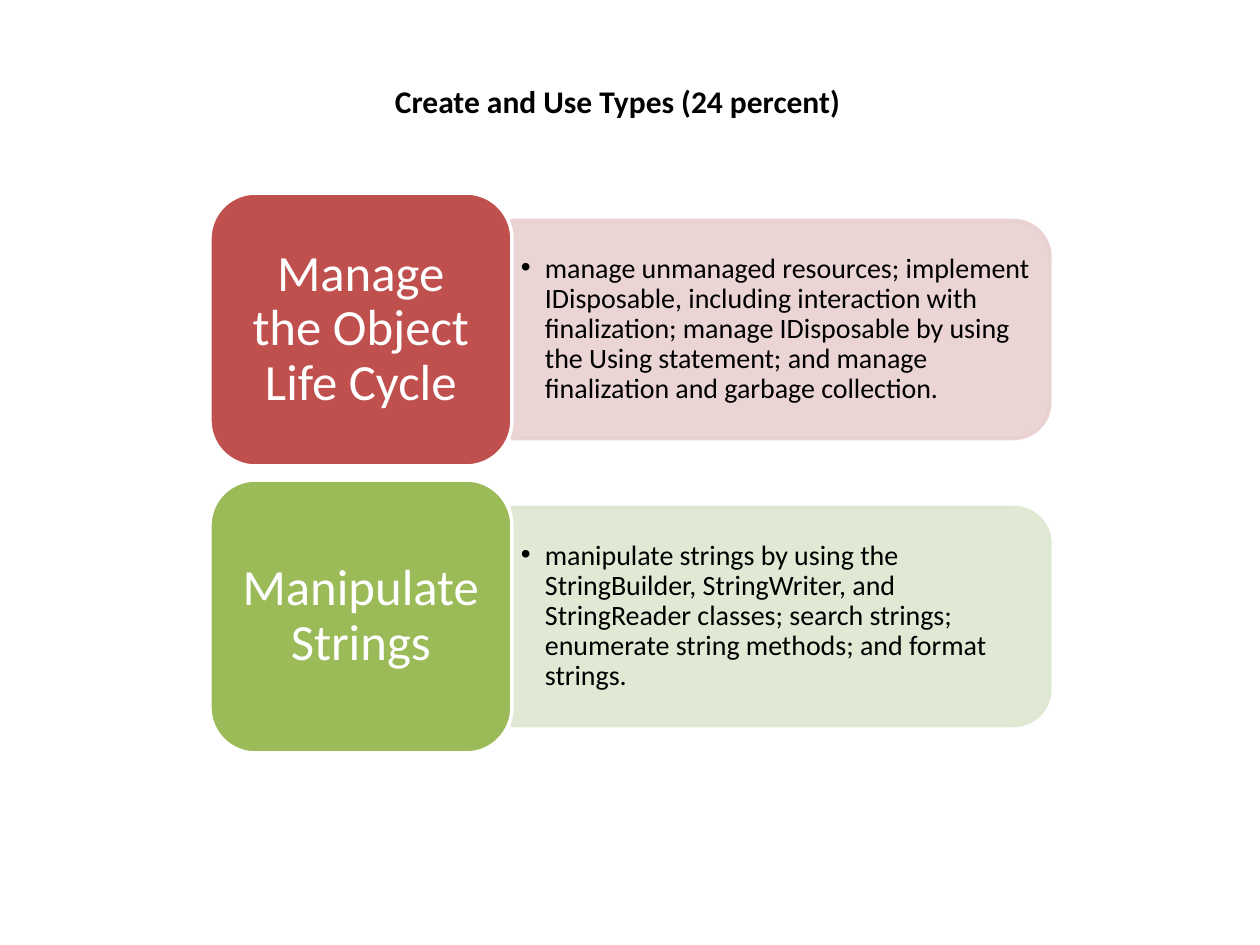
import pptx
import pptx.util
import pptx.dml.color
import pptx.enum.shapes
import pptx.enum.text
import lxml.etree

TITLE = "Create and Use Types (24 percent)"
TOPICS = [
    {"label": "Manage the Object Life Cycle", "fill": "C0504D", "tint": "E8D0D0",
     "detail": "manage unmanaged resources; implement IDisposable, including "
               "interaction with finalization; manage IDisposable by using the Using "
               "statement; and manage finalization and garbage collection."},
    {"label": "Manipulate Strings", "fill": "9BBB59", "tint": "DEE7D1",
     "detail": "manipulate strings by using the StringBuilder, StringWriter, and "
               "StringReader classes; search strings; enumerate string methods; and "
               "format strings."},
]
THEME = {"font": "Calibri", "dark": "000000", "light": "FFFFFF",
         "title": 18, "label": 29, "detail": 16, "line": 2, "panel_alpha": 90}

SCALE = 914400 // 126
SLIDE_W, SLIDE_H = 1260, 945
TITLE_BOX = (382, 76, 481, 50)
LEFT, TOP, PITCH = 210, 193, 287
LABEL_W, LABEL_H = 302, 273
PANEL_W, PANEL_H = 538, 218
DETAIL_W, DETAIL_H = 527, 198
HANGING = 24
TITLE_INSETS, LABEL_INSETS, DETAIL_INSETS = (13, 6), (15, 7), (9, 4)

SHAPE = pptx.enum.shapes.MSO_SHAPE
ALIGN = pptx.enum.text.PP_ALIGN
ANCHOR = pptx.enum.text.MSO_ANCHOR


def px(n):
    """Turn pixels into EMU."""
    return pptx.util.Emu(round(n * SCALE))


def rgb(code):
    """Turn a hex code into a colour."""
    return pptx.dml.color.RGBColor.from_string(code)


def place(sp, x, y, w, h):
    """Move and size a shape, in pixels."""
    sp.left, sp.top, sp.width, sp.height = px(x), px(y), px(w), px(h)


def write(sp, text, size, color, align, insets, spacing=1.0, bold=False, wrap=True):
    """Set and format the single paragraph of a shape."""
    tf = sp.text_frame
    tf.text = text
    tf.word_wrap = wrap
    tf.auto_size = pptx.enum.text.MSO_AUTO_SIZE.NONE
    tf.vertical_anchor = ANCHOR.MIDDLE
    tf.margin_left = tf.margin_right = px(insets[0])
    tf.margin_top = tf.margin_bottom = px(insets[1])
    p = tf.paragraphs[0]
    p.alignment, p.line_spacing = align, spacing
    p.space_before = p.space_after = pptx.util.Pt(0)
    font = p.runs[0].font
    font.name, font.size, font.bold = THEME["font"], pptx.util.Pt(size), bold
    font.color.rgb = rgb(color)
    return p


def add_block(s, kind, box, fill, line):
    """Add a filled and outlined preset shape."""
    sp = s.shapes.add_shape(kind, *map(px, box))
    sp.shadow.inherit = False
    sp.fill.solid()
    sp.fill.fore_color.rgb = rgb(fill)
    sp.line.color.rgb = rgb(line)
    sp.line.width = pptx.util.Pt(THEME["line"])
    return sp


def set_alpha(sp, percent):
    """Make the fill and line of a shape partly transparent."""
    ns = "{http://schemas.openxmlformats.org/drawingml/2006/main}"
    for color in sp._element.spPr.iter(ns + "srgbClr"):
        lxml.etree.SubElement(color, ns + "alpha").set("val", str(percent * 1000))


def add_topic(s, topic, body, top):
    """Draw one row: tinted panel, bulleted detail, coloured label."""
    middle, panel_x = top + LABEL_H / 2, LEFT + LABEL_W
    # The panel is turned a quarter, so its rounded top faces right.
    box = (panel_x + (PANEL_W - PANEL_H) / 2, middle - PANEL_W / 2, PANEL_H, PANEL_W)
    panel = add_block(s, SHAPE.ROUND_2_SAME_RECTANGLE, box, topic["tint"], topic["tint"])
    panel.rotation = 90
    set_alpha(panel, THEME["panel_alpha"])

    s.shapes._spTree.append(body._element)
    place(body, panel_x, middle - DETAIL_H / 2, DETAIL_W, DETAIL_H)
    p = write(body, topic["detail"], THEME["detail"], THEME["dark"], ALIGN.LEFT,
              DETAIL_INSETS, 0.9)
    pPr = p._p.get_or_add_pPr()
    pPr.set("marL", str(px(HANGING)))
    pPr.set("indent", str(-px(HANGING)))

    label = add_block(s, SHAPE.ROUNDED_RECTANGLE, (LEFT, top, LABEL_W, LABEL_H),
                      topic["fill"], THEME["light"])
    write(label, topic["label"], THEME["label"], THEME["light"], ALIGN.CENTER,
          LABEL_INSETS, 0.9)


prs = pptx.Presentation()
prs.slide_width, prs.slide_height = px(SLIDE_W), px(SLIDE_H)
s = prs.slides.add_slide(prs.slide_layouts.get_by_name("Two Content"))
title, *bodies = list(s.placeholders)[:1 + len(TOPICS)]
for i, (topic, body) in enumerate(zip(TOPICS, bodies)):
    add_topic(s, topic, body, TOP + i * PITCH)
place(title, *TITLE_BOX)
write(title, TITLE, THEME["title"], THEME["dark"], ALIGN.LEFT, TITLE_INSETS,
      bold=True, wrap=False)
prs.save("out.pptx")
